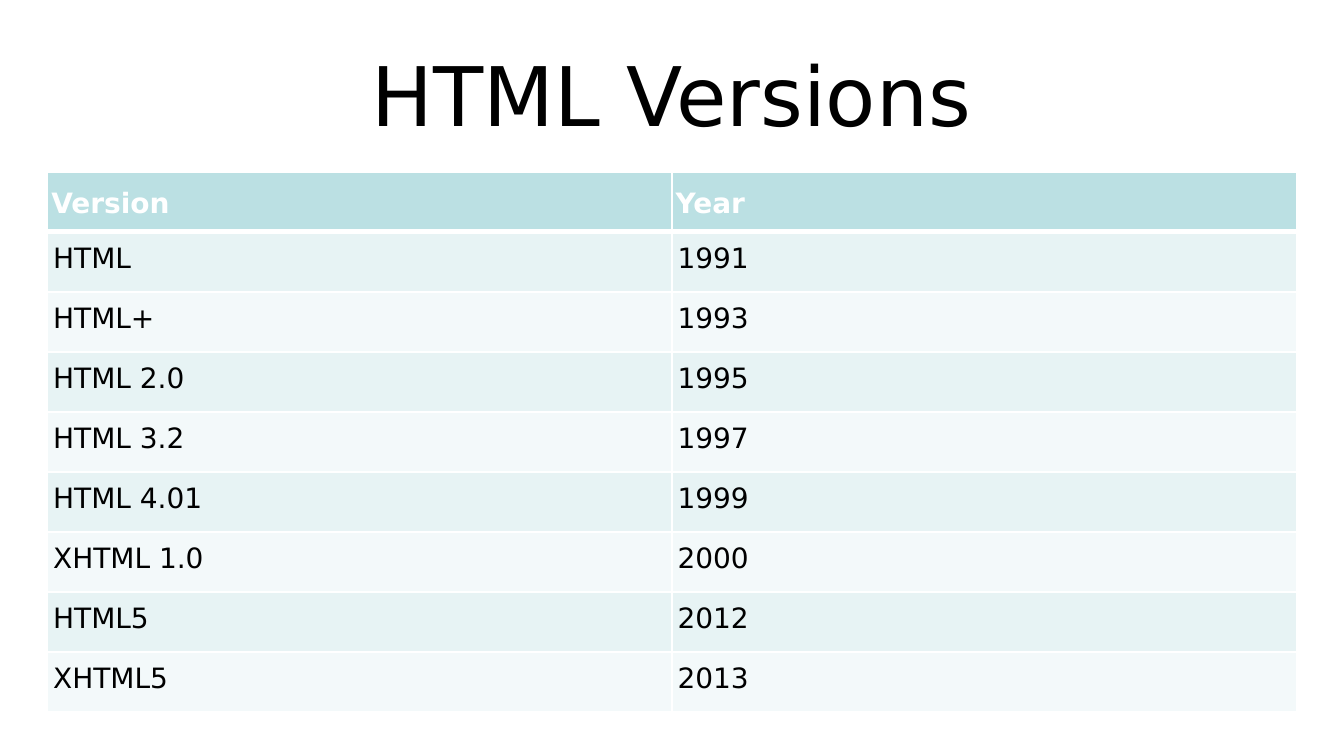
import dataclasses

import lxml.etree
import pptx
import pptx.dml.color
import pptx.enum.text
import pptx.oxml.ns
import pptx.util


@dataclasses.dataclass(frozen=True)
class Theme:
    font: str = "DejaVu Sans"
    title_size: int = 44
    table_size: int = 15
    text: str = "000000"
    white: str = "FFFFFF"
    header: str = "BBE0E3"
    bands: tuple = ("E7F3F4", "F3F9FA")


theme = Theme()
Pt = pptx.util.Pt


def set_font(paragraph, size, color, bold=False):
    paragraph.font.name = theme.font
    paragraph.font.size = Pt(size)
    paragraph.font.bold = bold
    paragraph.font.color.rgb = pptx.dml.color.RGBColor.from_string(color)


def add_border(cell, side, width):
    qn = pptx.oxml.ns.qn
    properties = cell._tc.get_or_add_tcPr()
    line = lxml.etree.SubElement(properties, qn(f"a:ln{side}"), w=str(Pt(width)))
    fill = lxml.etree.SubElement(line, qn("a:solidFill"))
    lxml.etree.SubElement(fill, qn("a:srgbClr"), val=theme.white)


presentation = pptx.Presentation()
presentation.slide_width = Pt(720)
presentation.slide_height = Pt(405)
slide = presentation.slides.add_slide(presentation.slide_layouts[5])
slide.background.fill.solid()
slide.background.fill.fore_color.rgb = pptx.dml.color.RGBColor.from_string(theme.white)

title = slide.shapes.title
title.left, title.top, title.width, title.height = Pt(36), Pt(16.5), Pt(648), Pt(67.5)
title.text_frame.text = "HTML Versions"
title.text_frame.vertical_anchor = pptx.enum.text.MSO_ANCHOR.MIDDLE
title_paragraph = title.text_frame.paragraphs[0]
title_paragraph.alignment = pptx.enum.text.PP_ALIGN.CENTER
set_font(title_paragraph, theme.title_size, theme.text)

versions = [
    ("Version", "Year"),
    ("HTML", "1991"),
    ("HTML+", "1993"),
    ("HTML 2.0", "1995"),
    ("HTML 3.2", "1997"),
    ("HTML 4.01", "1999"),
    ("XHTML 1.0", "2000"),
    ("HTML5", "2012"),
    ("XHTML5", "2013"),
]
table = slide.shapes.add_table(
    len(versions), 2, Pt(25.5), Pt(92), Pt(669), Pt(289)
).table

for row_index, values in enumerate(versions):
    is_header = row_index == 0
    table.rows[row_index].height = Pt(32.15)
    for column_index, value in enumerate(values):
        cell = table.cell(row_index, column_index)
        cell.text = value
        cell.vertical_anchor = pptx.enum.text.MSO_ANCHOR.MIDDLE
        cell.margin_left = cell.margin_right = Pt(2 if is_header else 3)
        cell.margin_top = cell.margin_bottom = Pt(1.5 if is_header else 3.6)
        paragraph = cell.text_frame.paragraphs[0]
        paragraph.line_spacing = 1.15 if is_header else 0.67
        set_font(paragraph, theme.table_size,
                 theme.white if is_header else theme.text, is_header)
        add_border(cell, "L", 1)
        add_border(cell, "R", 1)
        add_border(cell, "T", 3 if row_index == 1 else 1)
        add_border(cell, "B", 3 if is_header else 1)
        cell.fill.solid()
        cell.fill.fore_color.rgb = pptx.dml.color.RGBColor.from_string(
            theme.header if is_header else theme.bands[(row_index - 1) % 2])

presentation.save("out.pptx")
